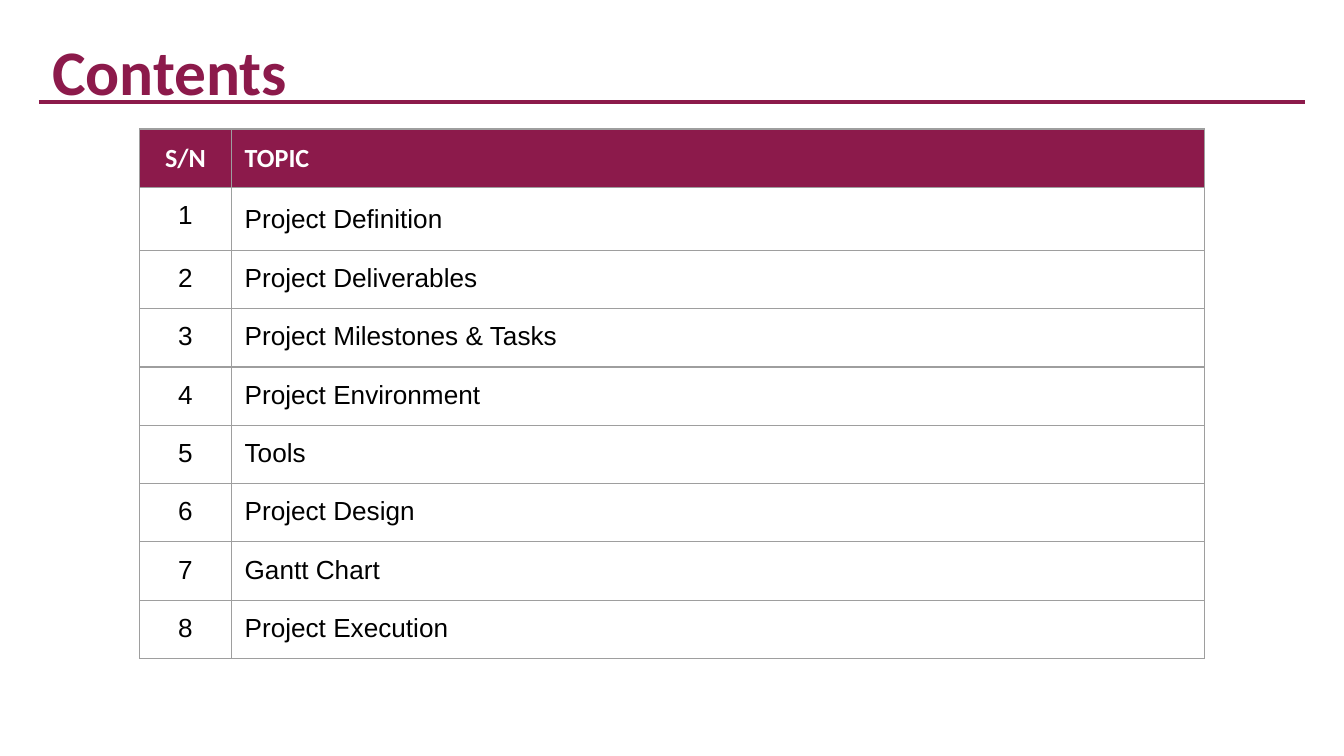
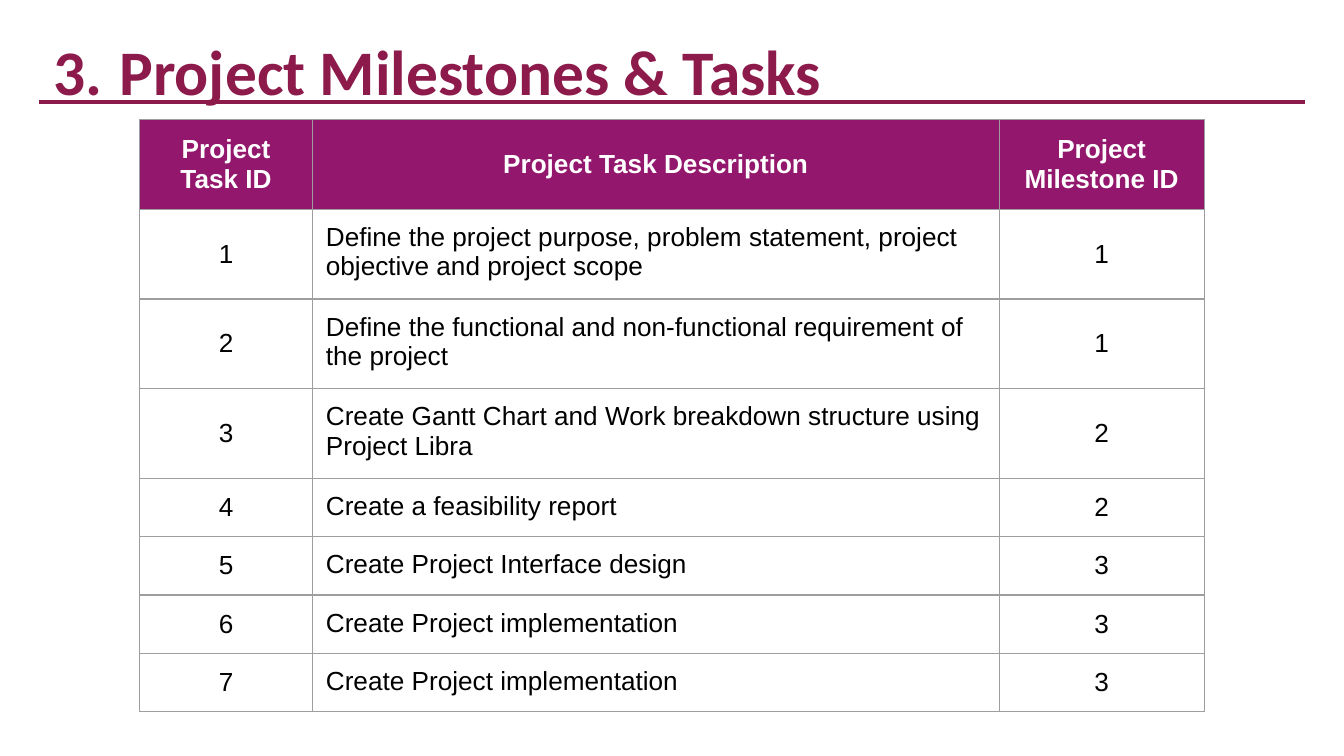
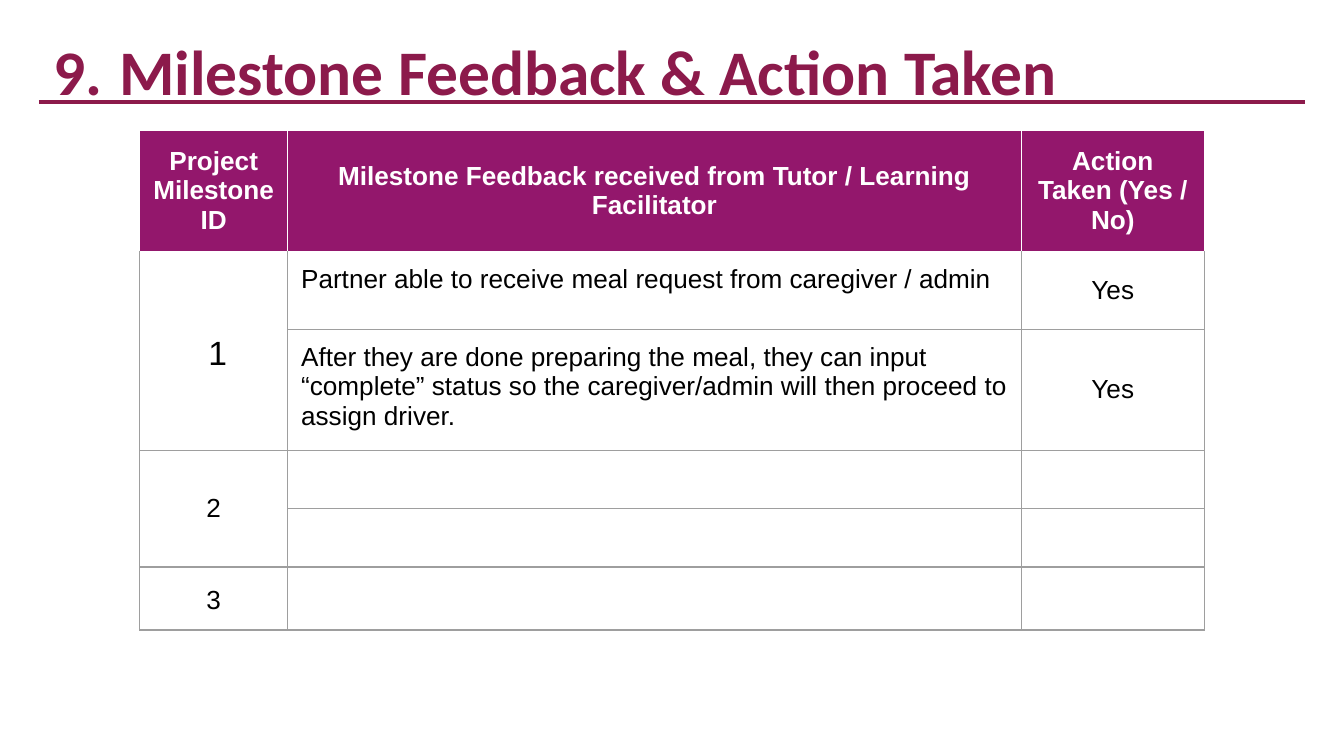
from dataclasses import dataclass

from lxml.etree import SubElement as Sub, Element as Node
from pptx import Presentation
from pptx.dml.color import RGBColor as Rgb
from pptx.enum.shapes import MSO_CONNECTOR as Link
from pptx.enum.text import MSO_ANCHOR as Anchor, MSO_AUTO_SIZE as Fit, PP_ALIGN as Align
from pptx.oxml.ns import qn
from pptx.slide import Slide
from pptx.table import _Cell as Cell
from pptx.util import Emu, Inches, Pt

WIDE, HIGH = Inches(10), Inches(5.625)
INK = {"wine": "8C1A4B", "plum": "93176C", "grey": "9E9E9E", "white": "FFFFFF", "black": "000000"}
LOOSE = 1.15
LEFT = 10.4


@dataclass(frozen=True)
class Page:
    title: str
    width: float
    top: float
    cols: tuple[float, ...]
    rows: tuple[float, ...]
    cells: tuple[tuple[str, ...], ...]
    start: int = 0
    fill: str = "plum"
    edge: str = "grey"
    font: str = "Arial"
    middle: bool = True
    spans: tuple[int, ...] = ()
    loose: tuple[tuple[int, int], ...] = ()
    large: tuple[tuple[int, int], ...] = ()


PAGES = (
    Page("Contents", 32.8, 17.07, (6.8, 72.4), (7.64,) * 9, (
        ("S/N", "TOPIC"),
        ("1", "Project Definition"),
        ("2", "Project Deliverables"),
        ("3", "Project Milestones & Tasks"),
        ("4", "Project Environment"),
        ("5", "Tools"),
        ("6", "Project Design"),
        ("7", "Gantt Chart"),
        ("8", "Project Execution"),
    ), fill="wine", font="Calibri", middle=False, loose=((1, 1),)),
    Page("Project Milestones & Tasks", 68.5, 15.82, (12.85, 51.1, 15.25), (7.47,) * 8, (
        ("Project\nTask ID", "Project Task Description", "Project\nMilestone ID"),
        ("1", "Define the project purpose, problem statement, project objective and project scope", "1"),
        ("2", "Define the functional and non-functional requirement of the project", "1"),
        ("3", "Create Gantt Chart and Work breakdown structure using Project Libra", "2"),
        ("4", "Create a feasibility report", "2"),
        ("5", "Create Project Interface design", "3"),
        ("6", "Create Project implementation", "3"),
        ("7", "Create Project implementation", "3"),
    ), start=3),
    Page("Milestone Feedback & Action Taken", 89.9, 17.24, (11, 54.6, 13.6),
         (13.69, 10.31, 6.93, 7.47, 5.87, 7.47), (
        ("Project Milestone ID", "Milestone Feedback received from Tutor / Learning Facilitator",
         "Action Taken (Yes / No)"),
        ("1", "Partner able to receive meal request from caregiver / admin", "Yes"),
        ("", "After they are done preparing the meal, they can input “complete” status so the "
             "caregiver/admin will then proceed to assign driver.", "Yes"),
        ("2", "", ""),
        ("", "", ""),
        ("3", "", ""),
    ), start=9, edge="white", spans=(1, 3), loose=((1, 0), (5, 0)), large=((1, 0),)),
)


def across(share: float) -> Emu:
    return Emu(round(WIDE * share / 100))


def down(share: float) -> Emu:
    return Emu(round(HIGH * share / 100))


def tint(name: str) -> Rgb:
    return Rgb.from_string(INK[name])


def style(para, font: str, size: float, color: str, bold: bool) -> None:
    for run in para.runs:
        run.font.name = font
        run.font.size = Pt(size)
        run.font.bold = bold
        run.font.color.rgb = tint(color)
    if not para.runs:
        para._p.get_or_add_endParaRPr().set("sz", str(size * 100))


def number(para, start: int) -> None:
    props = para._p.get_or_add_pPr()
    props.set("marL", str(Inches(0.5)))
    props.set("indent", str(Inches(-0.49)))
    Sub(Sub(props, qn("a:buClr")), qn("a:srgbClr"), val=INK["wine"])
    Sub(props, qn("a:buFont"), typeface="Calibri")
    Sub(props, qn("a:buAutoNum"), type="arabicPeriod", startAt=str(start))


def draw_head(slide: Slide, page: Page) -> None:
    rule = slide.shapes.add_connector(Link.STRAIGHT, across(2.9), down(13.5), across(97.1), down(13.5))
    rule.line.color.rgb = tint("wine")
    rule.line.width = Pt(2.25)
    Sub(rule._element.spPr, qn("a:effectLst"))
    box = slide.shapes.add_textbox(across(2.9), down(0.9), across(page.width), down(13.7))
    frame = box.text_frame
    frame.text = page.title
    frame.word_wrap = True
    frame.auto_size = Fit.SHAPE_TO_FIT_TEXT
    frame.margin_left = frame.margin_right = across(1)
    frame.margin_top = frame.margin_bottom = Inches(0.1)
    para = frame.paragraphs[0]
    if page.start:
        number(para, page.start)
    para.line_spacing = LOOSE
    style(para, "Calibri", 34, "wine", True)


def border(cell: Cell, side: str, top: str) -> None:
    props = cell._tc.get_or_add_tcPr()
    for spot, tag in enumerate(("L", "R", "T", "B")):
        line = Node(qn(f"a:ln{tag}"), w=str(Pt(0.75)))
        color = top if tag == "T" else side
        Sub(Sub(line, qn("a:solidFill")), qn("a:srgbClr"), val=INK[color])
        props.insert(spot, line)


def draw_cell(cell: Cell, page: Page, row: int, col: int) -> None:
    head, spot = row == 0, (row, col)
    apart = col != 1 or (page.middle and head)
    cell.text_frame.text = page.cells[row][col]
    cell.margin_left = cell.margin_right = cell.margin_top = cell.margin_bottom = Inches(0.1)
    cell.vertical_anchor = Anchor.MIDDLE if page.middle and apart else Anchor.TOP
    for para in cell.text_frame.paragraphs:
        para.alignment = Align.CENTER if apart else Align.LEFT
        if spot in page.loose:
            para.line_spacing = LOOSE
        if spot in page.large:
            para._p.get_or_add_pPr().set("marL", str(Inches(0.06)))
        style(para, page.font if head else "Arial", 18 if spot in page.large else 14,
              "white" if head else "black", head)
    if head:
        cell.fill.solid()
        cell.fill.fore_color.rgb = tint(page.fill)
    else:
        cell.fill.background()
    border(cell, page.edge if head else "grey", page.edge if row < 2 else "grey")


def draw_table(slide: Slide, page: Page) -> None:
    table = slide.shapes.add_table(len(page.rows), len(page.cols), across(LEFT), down(page.top),
                                   across(sum(page.cols)), down(sum(page.rows))).table
    table.horz_banding = False
    for col, share in zip(table.columns, page.cols):
        col.width = across(share)
    for row, share in zip(table.rows, page.rows):
        row.height = down(share)
    for row in range(len(page.rows)):
        for col in range(len(page.cols)):
            draw_cell(table.cell(row, col), page, row, col)
    for row in page.spans:
        table.cell(row, 0).merge(table.cell(row + 1, 0))


def main() -> None:
    deck = Presentation()
    deck.slide_width, deck.slide_height = WIDE, HIGH
    for page in PAGES:
        slide = deck.slides.add_slide(deck.slide_layouts[6])
        slide.background.fill.solid()
        slide.background.fill.fore_color.rgb = tint("white")
        draw_head(slide, page)
        draw_table(slide, page)
    deck.save("out.pptx")


if __name__ == "__main__":
    main()
